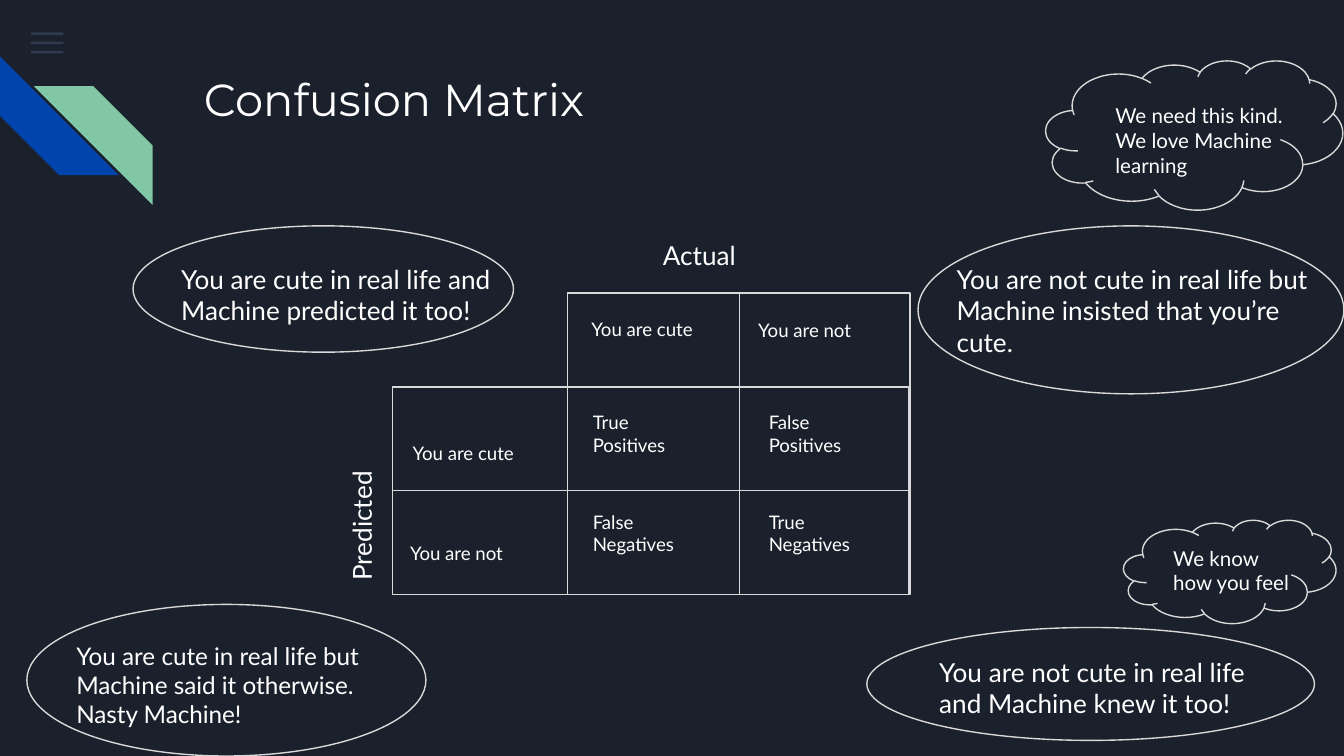
from itertools import product
from lxml.etree import SubElement
from pptx import Presentation
from pptx.dml.color import RGBColor
from pptx.enum.shapes import MSO_CONNECTOR, MSO_SHAPE
from pptx.enum.text import MSO_ANCHOR, PP_ALIGN
from pptx.oxml.ns import qn
from pptx.util import Pt

COLORS = {
    "background": "1B212C",
    "menu": "55688B",
    "blue": "0145AC",
    "green": "82C7A5",
    "line": "D9D9D9",
    "text": "FFFFFF",
}
FRAME = dict(
    word_wrap=True, vertical_anchor=MSO_ANCHOR.TOP,
    margin_left=Pt(7.2), margin_right=Pt(7.2),
    margin_top=Pt(7.2), margin_bottom=Pt(7.2),
)


def color(name):
    return RGBColor.from_string(COLORS[name])


def set_attrs(obj, values):
    for name, value in values.items():
        setattr(obj, name, value)


def add_text(s, box, lines, size, font="Lato", rotation=0):
    sp = s.shapes.add_textbox(*map(Pt, box))
    sp.rotation = rotation
    tf = sp.text_frame
    set_attrs(tf, FRAME)
    for i, line in enumerate(lines):
        p = tf.add_paragraph() if i else tf.paragraphs[0]
        p.alignment = PP_ALIGN.LEFT
        r = p.add_run()
        r.text = line
        set_attrs(r.font, dict(name=font, size=Pt(size)))
        r.font.color.rgb = color("text")


def add_solid(s, kind, box, fill):
    sp = s.shapes.add_shape(kind, *map(Pt, box))
    sp.shadow.inherit = False
    sp.fill.solid()
    sp.fill.fore_color.rgb = color(fill)
    sp.line.fill.background()
    return sp


def style_line(line):
    line.color.rgb = color("line")
    line.width = Pt(0.75)


def add_outline(s, kind, box):
    sp = s.shapes.add_shape(kind, *map(Pt, box))
    sp.shadow.inherit = False
    sp.fill.background()
    style_line(sp.line)


def add_rule(s, x1, y1, x2, y2):
    cx = s.shapes.add_connector(MSO_CONNECTOR.STRAIGHT, *map(Pt, (x1, y1, x2, y2)))
    style_line(cx.line)
    SubElement(cx._element.spPr, qn("a:effectLst"))


def add_menu(s, x, y, w, gap):
    for i in range(3):
        bar = add_solid(s, MSO_SHAPE.RECTANGLE, (x, y + i * gap, w, 1.4), "menu")
        fill = bar.fill._xPr.find(qn("a:solidFill"))
        SubElement(fill[0], qn("a:alpha"), val="36000")


def add_stripes(s, x, y, size):
    blue = add_solid(s, MSO_SHAPE.DIAGONAL_STRIPE, (x, y, size, size), "blue")
    blue.rotation = 270
    green = add_solid(s, MSO_SHAPE.DIAGONAL_STRIPE, (x + 18.2, y + 16, size, size), "green")
    green._element.spPr.find(qn("a:xfrm")).set("flipH", "1")


def add_matrix(s, x, y, w, h):
    head_w, head_h, mid_x, mid_y = 93.8, 50.4, 186, 105.8
    add_outline(s, MSO_SHAPE.RECTANGLE, (x, y + head_h, w - 1, h - head_h))
    add_outline(s, MSO_SHAPE.RECTANGLE, (x + head_w, y, w - head_w, h))
    add_rule(s, x + mid_x, y, x + mid_x, y + h)
    add_rule(s, x, y + mid_y, x + w, y + mid_y)

    add_text(s, (x - 71.8, y + 101.5, 99.4, 20.2), ["Predicted"], 14, rotation=270)
    add_text(s, (x + 137.8, y - 36, 72, 20.2), ["Actual"], 14)
    headers = [
        ("You are cute", 99.6, 7.2),
        ("You are not", 188.9, 7.9),
        ("You are cute", 3.8, 73.4),
        ("You are not", 2.4, 127.4),
    ]
    for label, dx, dy in headers:
        add_text(s, (x + dx, y + dy, 86.4, 36.7), [label], 10)
    cells = ["True Positives", "False Positives", "False Negatives", "True Negatives"]
    for label, (dy, dx) in zip(cells, product((56.1, 109.4), (100.3, 194.6))):
        add_text(s, (x + dx, y + dy, 74.2, 38.2), [label], 10)


def add_bubble(s, kind, box, inner, lines, size):
    add_outline(s, kind, box)
    dx, dy, w, h = inner
    add_text(s, (box[0] + dx, box[1] + dy, w, h), lines, size)


BUBBLES = [
    (MSO_SHAPE.OVAL, (71.3, 121, 203.8, 67.7), (18.7, 12.9, 213.8, 54),
     ["You are cute in real life and Machine predicted it too!"], 14),
    (MSO_SHAPE.OVAL, (491.8, 121, 228.2, 90), (13.6, 12.9, 213.8, 54),
     ["You are not cute in real life but Machine insisted that you’re cute."], 14),
    (MSO_SHAPE.OVAL, (14.4, 323.8, 213.8, 81.2), (19.4, 12.4, 187.9, 55.4),
     ["You are cute in real life but Machine said it otherwise.", "Nasty Machine!"], 13),
    (MSO_SHAPE.OVAL, (464.4, 336.2, 239.8, 60.5), (31.7, 8, 203.8, 54),
     ["You are not cute in real life and Machine knew it too!"], 14),
    (MSO_SHAPE.CLOUD, (560.2, 32.4, 159.1, 79.9), (30.2, 15.8, 113.8, 26.6),
     ["We need this kind.", "We love Machine learning"], 11),
    (MSO_SHAPE.CLOUD, (601.9, 278.6, 113.8, 55.4), (19.5, 6.5, 79.9, 18.7),
     ["We know how you feel"], 11),
]


def main():
    prs = Presentation()
    set_attrs(prs, dict(slide_width=Pt(720), slide_height=Pt(405)))
    s = prs.slides.add_slide(prs.slide_layouts[6])
    s.background.fill.solid()
    s.background.fill.fore_color.rgb = color("background")
    add_menu(s, 16.7, 17.4, 17.3, 4.9)
    add_stripes(s, 0, 30.2, 63.6)
    add_text(s, (102.2, 31, 554.4, 72), ["Confusion Matrix"], 24, "Montserrat")
    add_matrix(s, 210.2, 157, 277.4, 161.6)
    for bubble in BUBBLES:
        add_bubble(s, *bubble)
    prs.save("out.pptx")


if __name__ == "__main__":
    main()
